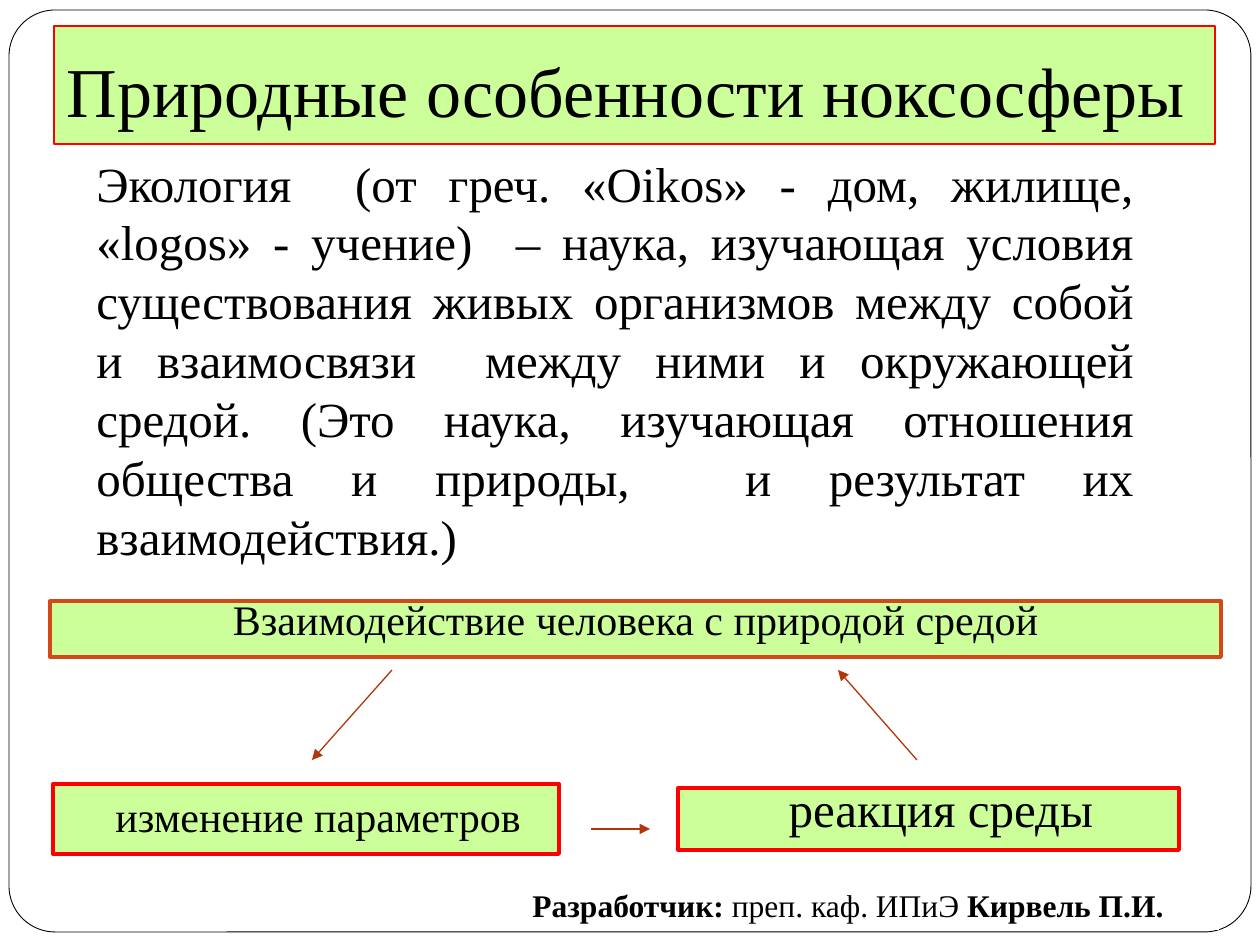
from lxml.etree import SubElement
from pptx import Presentation
from pptx.dml.color import RGBColor
from pptx.enum.shapes import MSO_CONNECTOR, MSO_SHAPE
from pptx.enum.text import MSO_ANCHOR as Anchor, MSO_AUTO_SIZE as AutoSize, PP_ALIGN as Align
from pptx.oxml.ns import qn
from pptx.util import Emu, Pt

EMU_PER_PX = 914400 / 126
FONT = "Times New Roman"
BLACK, WHITE, GREEN = "000000", "FFFFFF", "CCFF99"
RED, ORANGE, RUST = "FF0000", "D34817", "B1360B"

TITLE = "Природные особенности ноксосферы"
DEFINITION = (
    "Экология  (от греч. «Oikos» - дом, жилище, «logos» - учение)  – наука, "
    "изучающая условия существования живых организмов между собой и взаимосвязи  "
    "между ними и окружающей средой. (Это наука, изучающая отношения общества и "
    "природы,  и результат их взаимодействия.)"
)
AUTHOR = [("Разработчик:", True), (" преп. каф. ИПиЭ ", False), ("Кирвель П.И.", True)]


def px(length):
    return Emu(round(length * EMU_PER_PX))


def color(value):
    return RGBColor.from_string(value)


def set_all(target, values):
    for name, value in values.items():
        setattr(target, name, value)


def add_panel(page, place, fill, line=None, width=0, kind=MSO_SHAPE.RECTANGLE):
    panel = page.shapes.add_shape(kind, *map(px, place))
    panel.shadow.inherit = False
    panel.fill.solid()
    panel.fill.fore_color.rgb = color(fill)
    if line:
        panel.line.color.rgb = color(line)
        panel.line.width = Pt(width)
    else:
        panel.line.fill.background()
    return panel


def write(box, spans, size, align=Align.LEFT, **frame_format):
    """Fill the box with one paragraph of (text, bold) spans."""
    frame = box.text_frame
    set_all(frame, {"word_wrap": True, "vertical_anchor": Anchor.TOP, **frame_format})
    para = frame.paragraphs[0]
    para.alignment = align
    for text, bold in spans:
        span = para.add_run()
        span.text = text
        set_all(span.font, {"name": FONT, "size": Pt(size), "bold": bold})
        span.font.color.rgb = color(BLACK)


def add_label(page, place, text, size, line, width, align=Align.CENTER, indent=0):
    """Add a green framed box with its text at the bottom."""
    label = add_panel(page, place, GREEN, line, width)
    write(label, [(text, False)], size, align, vertical_anchor=Anchor.BOTTOM,
          margin_left=px(13 + indent), margin_bottom=px(13))


def add_arrow(page, start, end):
    arrow = page.shapes.add_connector(MSO_CONNECTOR.STRAIGHT, *map(px, start + end))
    arrow.line.color.rgb = color(RUST)
    arrow.line.width = Pt(0.75)
    SubElement(arrow.line._get_or_add_ln(), qn("a:tailEnd"), type="triangle")
    SubElement(arrow._element.spPr, qn("a:effectLst"))


def main():
    deck = Presentation()
    deck.slide_width, deck.slide_height = px(1260), px(945)
    page = deck.slides.add_slide(deck.slide_layouts[6])

    frame = add_panel(page, (9, 10, 1242, 922), WHITE, BLACK, 0.5,
                      MSO_SHAPE.ROUNDED_RECTANGLE)
    frame.adjustments[0] = 0.05

    add_label(page, (54, 26, 1161, 118), TITLE, 40, RED, 1.5, Align.LEFT)
    definition = page.shapes.add_textbox(*map(px, (84, 147, 1062, 428)))
    write(definition, [(DEFINITION, False)], 28, Align.JUSTIFY,
          auto_size=AutoSize.SHAPE_TO_FIT_TEXT)
    author = add_panel(page, (520, 880, 699, 50), WHITE)
    write(author, AUTHOR, 18, auto_size=AutoSize.SHAPE_TO_FIT_TEXT)

    add_label(page, (50, 601, 1171, 56), "Взаимодействие человека с природой средой",
              24, ORANGE, 2.25)
    add_label(page, (53, 784, 506, 70), "изменение параметров", 24, RED, 2.25, indent=24)
    add_label(page, (678, 788, 501, 62), "реакция среды", 28, RED, 2.25, indent=24)

    add_arrow(page, (392, 670), (312, 760))
    add_arrow(page, (917, 760), (838, 670))
    add_arrow(page, (591, 829), (650, 829))

    deck.save("out.pptx")


if __name__ == "__main__":
    main()
